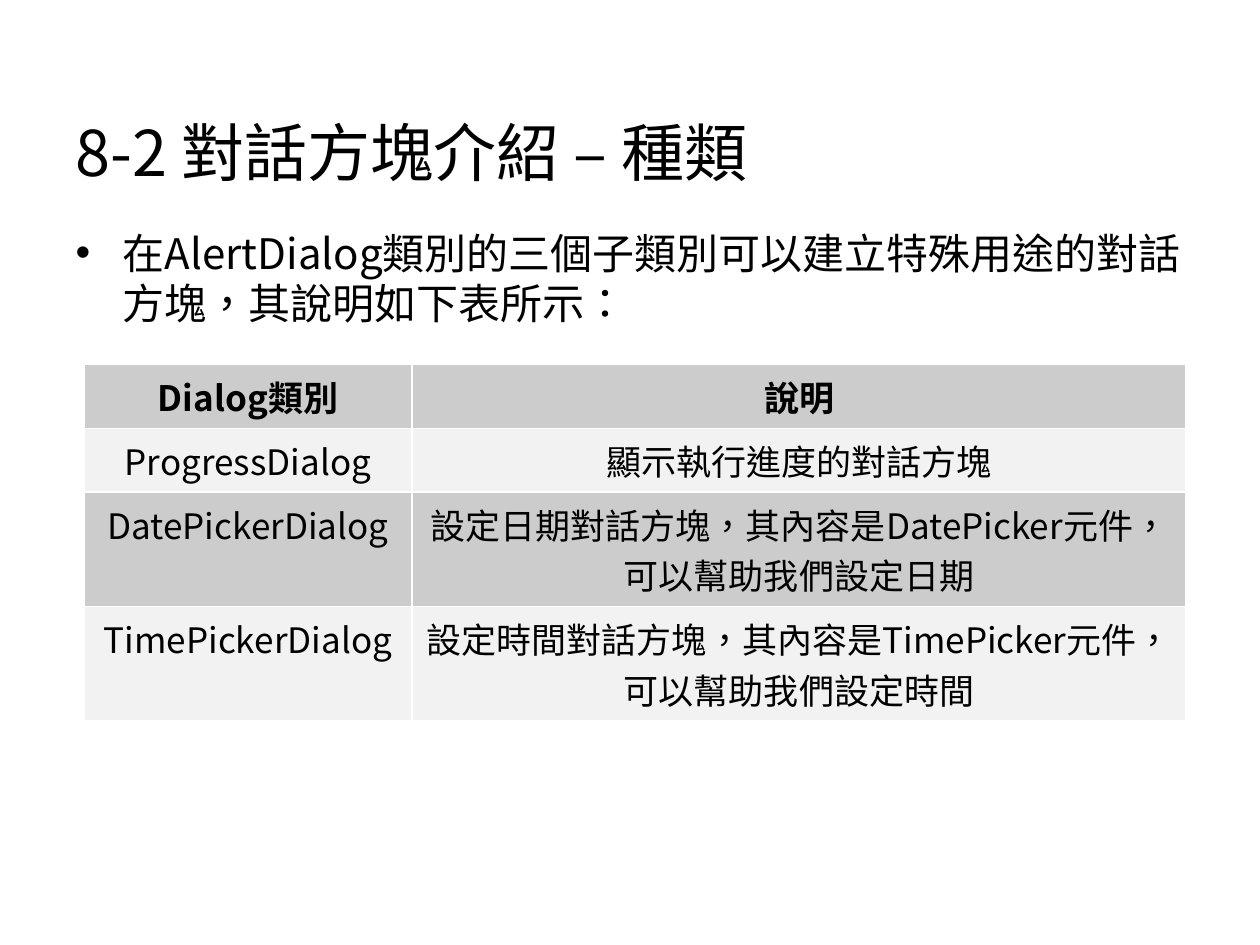
from lxml import etree
from pptx import Presentation
from pptx.dml.color import RGBColor
from pptx.enum.text import MSO_ANCHOR, MSO_AUTO_SIZE, PP_ALIGN
from pptx.oxml.ns import qn
from pptx.util import Cm, Pt

FONT = "Noto Sans CJK SC"
COLORS = {"text": "000000", "band": "CCCCCC", "plain": "F2F2F2", "border": "FFFFFF"}
ROWS = [
    ("Dialog類別", "說明"),
    ("ProgressDialog", "顯示執行進度的對話方塊"),
    ("DatePickerDialog", "設定日期對話方塊，其內容是DatePicker元件，可以幫助我們設定日期"),
    ("TimePickerDialog", "設定時間對話方塊，其內容是TimePicker元件，可以幫助我們設定時間"),
]
COL_WIDTHS = (6.62, 15.6)
ROW_HEIGHTS = (1.29, 1.27, 2.31, 2.31)


def add_run(p, text, size, bold=False):
    r = p.add_run()
    r.text = text
    r.font.size = Pt(size)
    r.font.bold = bold
    r.font.name = FONT
    r.font.color.rgb = RGBColor.from_string(COLORS["text"])
    rPr = r._r.get_or_add_rPr()
    rPr.set("lang", "zh-TW")  # Traditional Chinese punctuation and line breaks
    etree.SubElement(rPr, qn("a:ea")).set("typeface", FONT)


def fill_placeholder(sp, box, text, size, anchor):
    sp.left, sp.top, sp.width, sp.height = map(Cm, box)
    tf = sp.text_frame
    tf.word_wrap = True
    tf.auto_size = MSO_AUTO_SIZE.NONE
    tf.vertical_anchor = anchor
    p = tf.paragraphs[0]
    p.alignment = PP_ALIGN.LEFT
    p.space_before = Pt(0)
    add_run(p, text, size)
    return p


def set_bullet(p, indent):
    pPr = p._p.get_or_add_pPr()
    pPr.set("marL", str(Cm(indent)))
    pPr.set("indent", str(-Cm(indent)))
    etree.SubElement(pPr, qn("a:buFont")).set("typeface", "Arial")
    etree.SubElement(pPr, qn("a:buChar")).set("char", "•")


def set_borders(cell, sides):
    tcPr = cell._tc.get_or_add_tcPr()
    for i, side in enumerate(sides):
        ln = etree.Element(qn(f"a:ln{side}"), w=str(Pt(0.96)))
        fill = etree.SubElement(ln, qn("a:solidFill"))
        etree.SubElement(fill, qn("a:srgbClr")).set("val", COLORS["border"])
        tcPr.insert(i, ln)  # borders come before the fill


def add_class_table(slide):
    table = slide.shapes.add_table(
        len(ROWS), len(COL_WIDTHS), Cm(1.69), Cm(7.35),
        Cm(sum(COL_WIDTHS)), Cm(sum(ROW_HEIGHTS))).table
    for col, width in zip(table.columns, COL_WIDTHS):
        col.width = Cm(width)
    for i, (texts, height) in enumerate(zip(ROWS, ROW_HEIGHTS)):
        table.rows[i].height = Cm(height)
        for j, text in enumerate(texts):
            cell = table.cell(i, j)
            cell.fill.solid()
            cell.fill.fore_color.rgb = RGBColor.from_string(
                COLORS["plain" if i % 2 else "band"])
            set_borders(cell, "LRTB")
            p = cell.text_frame.paragraphs[0]
            p.alignment = PP_ALIGN.CENTER
            add_run(p, text, 20, bold=i == 0)


def main():
    prs = Presentation()
    prs.slide_width, prs.slide_height = Cm(25.4), Cm(19.05)
    slide = prs.slides.add_slide(prs.slide_layouts[1])

    # Title
    fill_placeholder(slide.shapes.title, (1.27, 0.76, 22.86, 3.18),
                     "8-2 對話方塊介紹 – 種類", 36, MSO_ANCHOR.BOTTOM)

    # Introduction
    p = fill_placeholder(
        slide.placeholders[1], (1.27, 4.45, 22.86, 13.69),
        "在AlertDialog類別的三個子類別可以建立特殊用途的對話方塊，其說明如下表所示：",
        24, MSO_ANCHOR.TOP)
    set_bullet(p, 0.95)

    # Dialog classes
    add_class_table(slide)
    prs.save("out.pptx")


if __name__ == "__main__":
    main()
